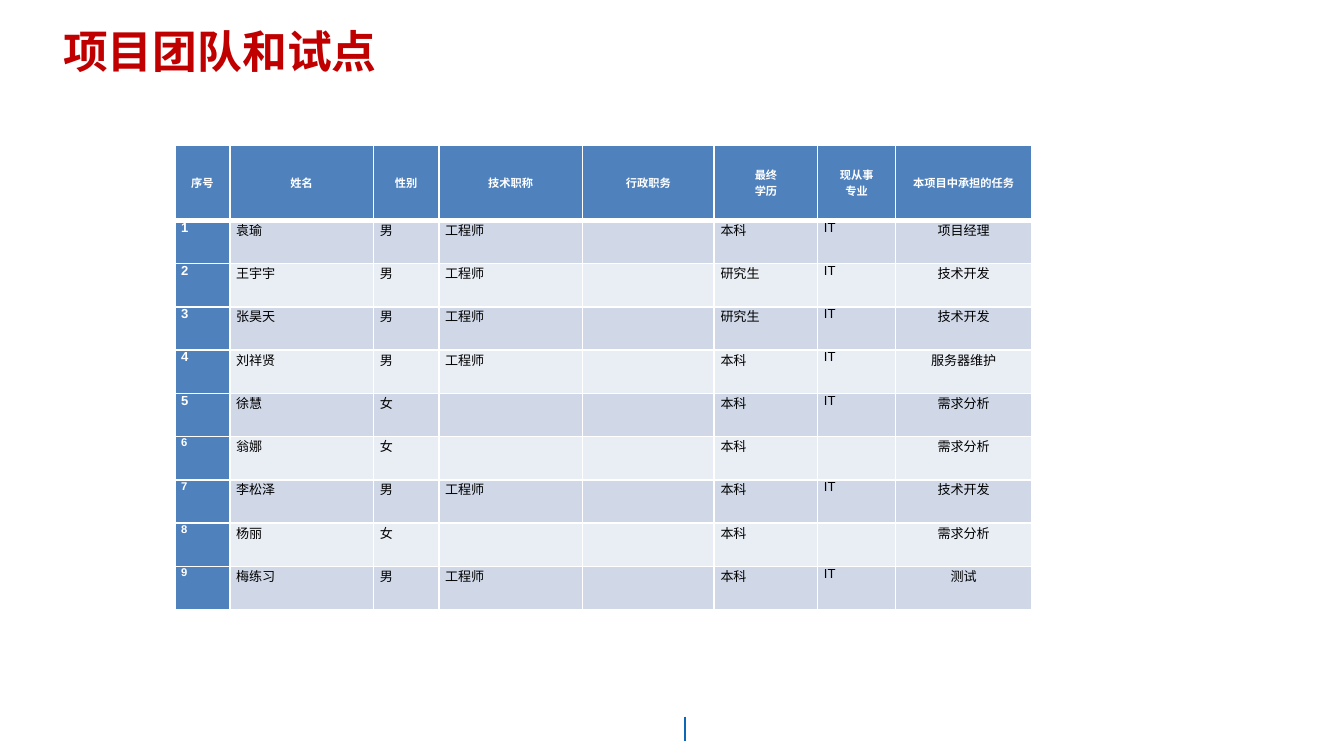
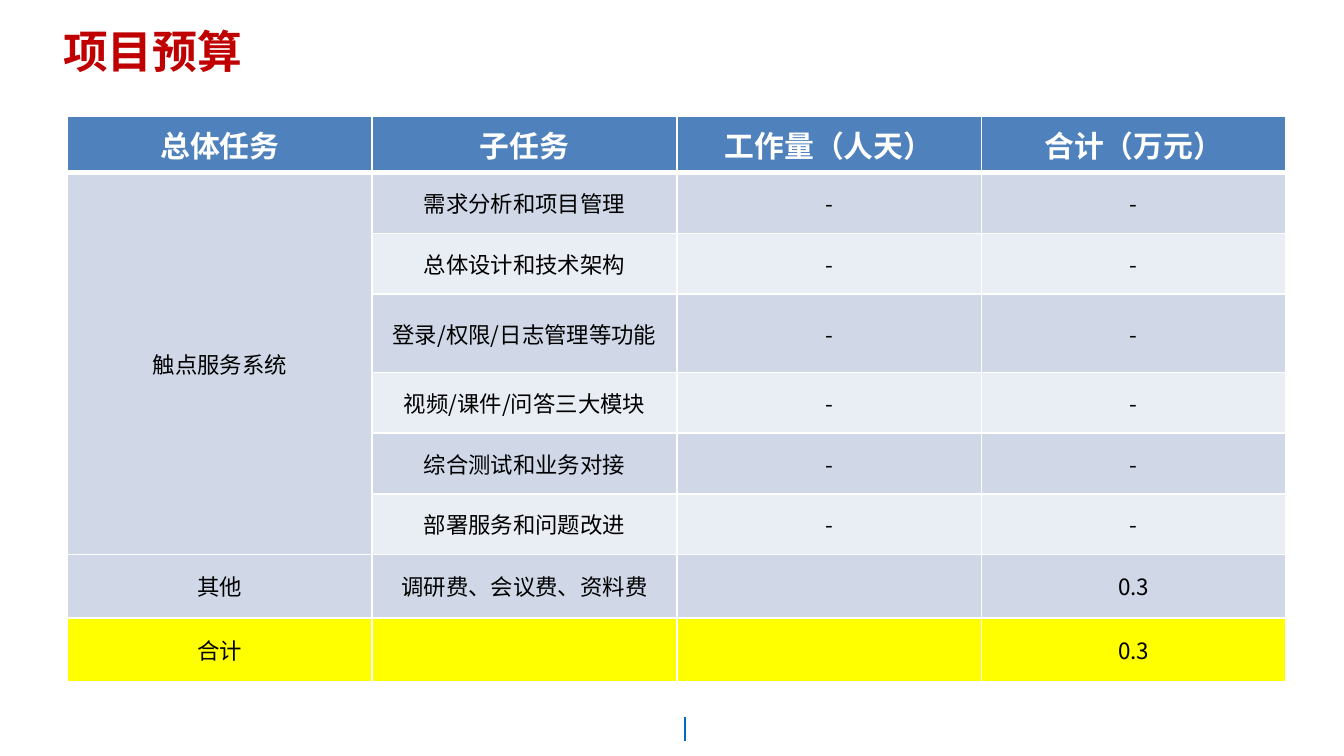
from lxml import etree
from pptx import Presentation
from pptx.dml.color import RGBColor
from pptx.enum.shapes import MSO_CONNECTOR
from pptx.enum.text import MSO_ANCHOR, MSO_AUTO_SIZE, PP_ALIGN
from pptx.oxml.ns import qn
from pptx.util import Pt

WHITE = RGBColor(0xFF, 0xFF, 0xFF)
BLACK = RGBColor(0x00, 0x00, 0x00)
TITLE_RED = RGBColor(0xC0, 0x00, 0x00)
FOOTER_BLUE = RGBColor(0x0A, 0x68, 0xB4)
HEADER_BLUE = RGBColor(0x4F, 0x81, 0xBD)
BANDS = (RGBColor(0xD0, 0xD8, 0xE8), RGBColor(0xE9, 0xED, 0xF4))
TOTAL_YELLOW = RGBColor(0xFF, 0xFF, 0x00)

LATIN_FONT = "Arial"
CHINESE_FONT = "Noto Sans CJK SC"

TEAM_HEADER = ["序号", "姓名", "性别", "技术职称", "行政职务", "最终\n学历", "现从事\n专业", "本项目中承担的任务"]
TEAM_WIDTHS = [29.5, 77, 35, 77, 70.6, 55.4, 41.8, 72.8]
TEAM = [
    ["1", "袁瑜", "男", "工程师", "", "本科", "IT", "项目经理"],
    ["2", "王宇宇", "男", "工程师", "", "研究生", "IT", "技术开发"],
    ["3", "张昊天", "男", "工程师", "", "研究生", "IT", "技术开发"],
    ["4", "刘祥贤", "男", "工程师", "", "本科", "IT", "服务器维护"],
    ["5", "徐慧", "女", "", "", "本科", "IT", "需求分析"],
    ["6", "翁娜", "女", "", "", "本科", "", "需求分析"],
    ["7", "李松泽", "男", "工程师", "", "本科", "IT", "技术开发"],
    ["8", "杨丽", "女", "", "", "本科", "", "需求分析"],
    ["9", "梅练习", "男", "工程师", "", "本科", "IT", "测试"],
]

BUDGET_HEADER = ["总体任务", "子任务", "工作量（人天）", "合计（万元）"]
SYSTEM_TASKS = [
    "需求分析和项目管理",
    "总体设计和技术架构",
    "登录/权限/日志管理等功能",
    "视频/课件/问答三大模块",
    "综合测试和业务对接",
    "部署服务和问题改进",
]


def format_paragraph(paragraph, size, color, bold=False, latin=LATIN_FONT, align=PP_ALIGN.LEFT):
    paragraph.alignment = align
    font = paragraph.font
    font.size = Pt(size)
    font.bold = bold
    font.color.rgb = color
    font.name = latin
    properties = paragraph._p.pPr.find(qn("a:defRPr"))
    etree.SubElement(properties, qn("a:ea"), typeface=CHINESE_FONT)


def add_footer_mark(slide):
    line = slide.shapes.add_connector(MSO_CONNECTOR.STRAIGHT, Pt(367), Pt(384), Pt(367), Pt(397))
    line.line.color.rgb = FOOTER_BLUE
    line.line.width = Pt(0.75)
    etree.SubElement(line._element.spPr, qn("a:effectLst"))


def add_titled_slide(presentation, text):
    slide = presentation.slides.add_slide(presentation.slide_layouts[5])
    add_footer_mark(slide)
    title = slide.shapes.title
    title.left, title.top, title.width, title.height = Pt(26.6), Pt(10), Pt(515), Pt(34)
    frame = title.text_frame
    frame.text = text
    frame.auto_size = MSO_AUTO_SIZE.NONE
    frame.vertical_anchor = MSO_ANCHOR.MIDDLE
    format_paragraph(frame.paragraphs[0], 24, TITLE_RED, bold=True)
    return slide


def set_borders(cell, top, bottom):
    properties = cell._tc.get_or_add_tcPr()
    for tag, width in (("lnL", 1), ("lnR", 1), ("lnT", top), ("lnB", bottom)):
        line = etree.SubElement(properties, qn(f"a:{tag}"), w=str(Pt(width)))
        fill = etree.SubElement(line, qn("a:solidFill"))
        etree.SubElement(fill, qn("a:srgbClr"), val=str(WHITE))


def fill_cell(cell, text, fill, anchor=MSO_ANCHOR.MIDDLE, top=1, bottom=1, **style):
    set_borders(cell, top, bottom)
    cell.fill.solid()
    cell.fill.fore_color.rgb = fill
    cell.vertical_anchor = anchor
    cell.text = text
    for paragraph in cell.text_frame.paragraphs:
        format_paragraph(paragraph, **style)


def add_grid(slide, left, top, widths, heights):
    frame = slide.shapes.add_table(
        len(heights), len(widths), Pt(left), Pt(top), Pt(sum(widths)), Pt(sum(heights))
    )
    table = frame.table
    table.horz_banding = False
    for column, width in zip(table.columns, widths):
        column.width = Pt(width)
    for row, height in zip(table.rows, heights):
        row.height = Pt(height)
    return table


def fill_header(table, labels, size, latin):
    for column, label in enumerate(labels):
        fill_cell(table.cell(0, column), label, HEADER_BLUE, bottom=3, size=size,
                  color=WHITE, bold=True, latin=latin, align=PP_ALIGN.CENTER)


def build_team_slide(presentation):
    slide = add_titled_slide(presentation, "项目团队和试点")
    table = add_grid(slide, 93.6, 78, TEAM_WIDTHS, [40] + [23.2] * len(TEAM))
    for cell in table.iter_cells():
        cell.margin_left = cell.margin_right = Pt(3.4)
        cell.margin_top = cell.margin_bottom = 0
    fill_header(table, TEAM_HEADER, 6, LATIN_FONT)
    last = len(TEAM_HEADER) - 1
    for row, member in enumerate(TEAM, start=1):
        for column, text in enumerate(member):
            is_number = column == 0
            fill_cell(
                table.cell(row, column), text,
                HEADER_BLUE if is_number else BANDS[(row - 1) % 2],
                anchor=MSO_ANCHOR.TOP,
                top=3 if row == 1 else 1,
                size=6 if is_number and row > 5 else 7,
                color=WHITE if is_number else BLACK,
                bold=is_number,
                align=PP_ALIGN.CENTER if column == last else PP_ALIGN.JUSTIFY,
            )


def build_budget_slide(presentation):
    slide = add_titled_slide(presentation, "项目预算")
    rows = [["", task, "-", "-"] for task in SYSTEM_TASKS]
    rows[0][0] = "触点服务系统"
    rows += [["其他", "调研费、会议费、资料费", "", "0.3"], ["合计", "", "", "0.3"]]
    heights = [29] + [32.5] * len(SYSTEM_TASKS) + [34, 34]
    table = add_grid(slide, 36.2, 62.3, [163.2] * 4, heights)
    fill_header(table, BUDGET_HEADER, 16, CHINESE_FONT)
    for row, texts in enumerate(rows, start=1):
        fill = TOTAL_YELLOW if row == len(rows) else BANDS[(row - 1) % 2]
        for column, text in enumerate(texts):
            fill_cell(table.cell(row, column), text, fill, top=3 if row == 1 else 1,
                      size=12, color=BLACK, latin=CHINESE_FONT, align=PP_ALIGN.CENTER)
    table.cell(1, 0).merge(table.cell(len(SYSTEM_TASKS), 0))


def main():
    presentation = Presentation()
    presentation.slide_width = Pt(720)
    presentation.slide_height = Pt(405)
    build_team_slide(presentation)
    build_budget_slide(presentation)
    presentation.save("out.pptx")


if __name__ == "__main__":
    main()
